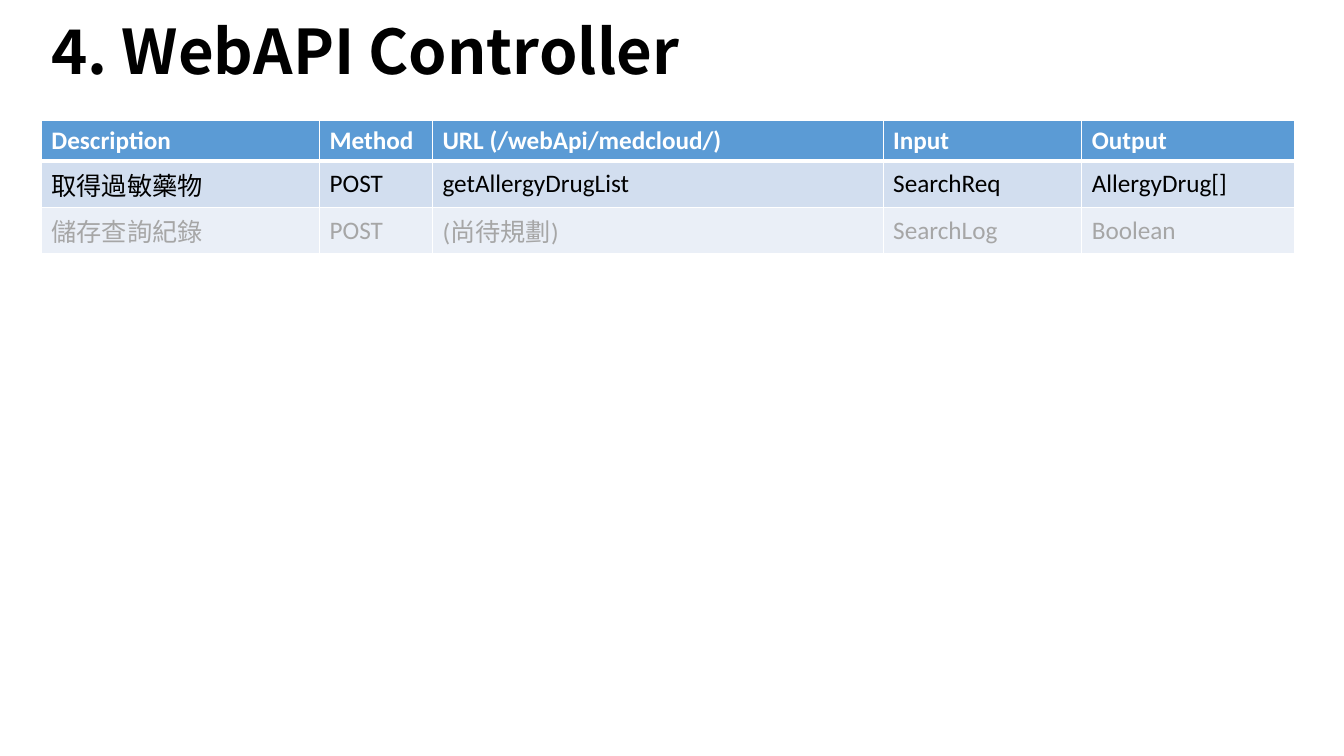
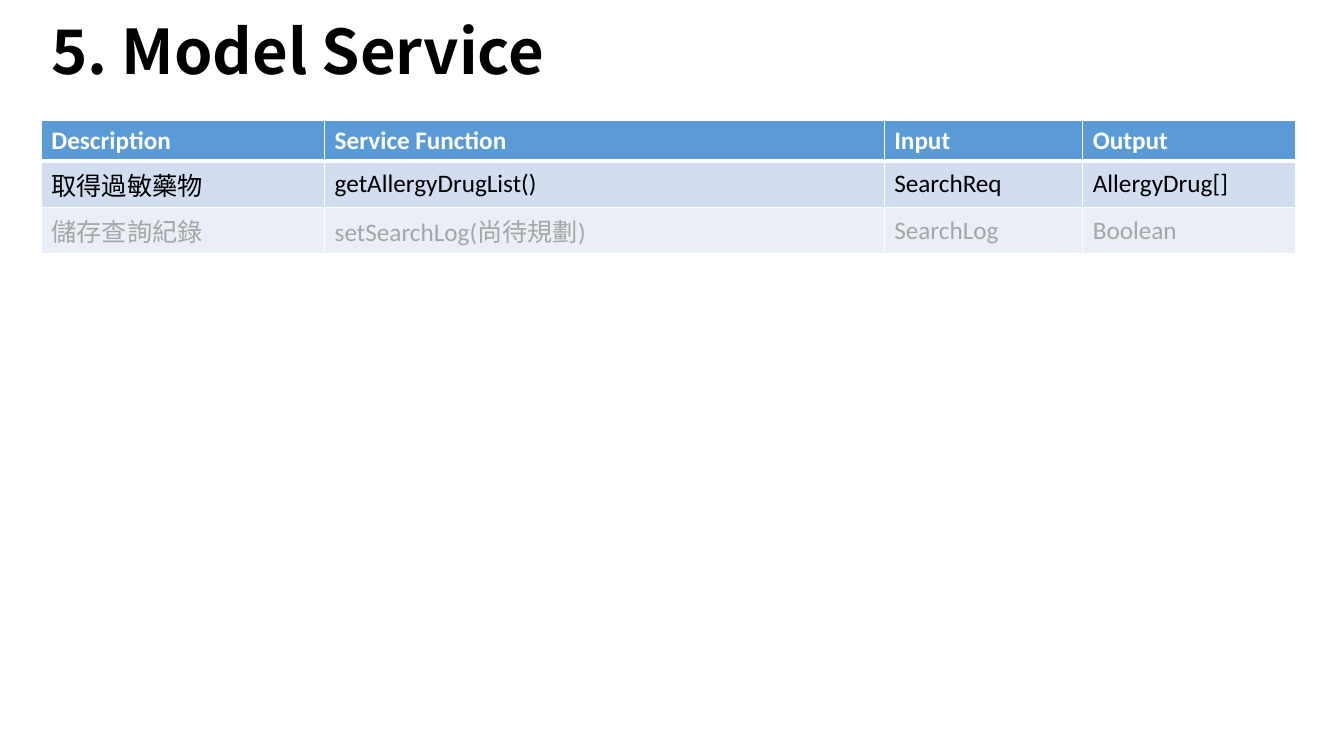
"""Builds two slides that list the web API and the model service in tables."""
from itertools import groupby

from lxml import etree
from pptx import Presentation
from pptx.dml.color import RGBColor
from pptx.enum.text import MSO_ANCHOR, MSO_AUTO_SIZE, PP_ALIGN
from pptx.oxml.ns import qn
from pptx.util import Inches, Pt

MIDDLE, LEFT, NO_FIT = MSO_ANCHOR.MIDDLE, PP_ALIGN.LEFT, MSO_AUTO_SIZE.NONE

SLIDES = [
    {
        "title": "4. WebAPI Controller",
        "widths": [2.76, 1.12, 4.47, 1.97, 2.11],
        "rows": [
            ["Description", "Method", "URL (/webApi/medcloud/)", "Input", "Output"],
            ["取得過敏藥物", "POST", "getAllergyDrugList", "SearchReq", "AllergyDrug[]"],
            ["儲存查詢紀錄", "POST", "(尚待規劃)", "SearchLog", "Boolean"],
        ],
    },
    {
        "title": "5. Model Service",
        "widths": [2.81, 5.55, 1.97, 2.11],
        "rows": [
            ["Description", "Service Function", "Input", "Output"],
            ["取得過敏藥物", "getAllergyDrugList()", "SearchReq", "AllergyDrug[]"],
            ["儲存查詢紀錄", "setSearchLog(尚待規劃)", "SearchLog", "Boolean"],
        ],
    },
]

LATIN, CJK = "Calibri", "Noto Sans CJK SC"
EDGE, TOP, ROW = 0.41, 1.19, 0.4
TITLE_BOX = {"left": EDGE, "top": -0.1, "width": 9.3, "height": 1.28}
TITLE = {"size": Pt(44), "bold": True}
STYLES = [
    {"fill": "5B9BD5", "ink": "FFFFFF", "bold": True, "above": 1, "below": 3},
    {"fill": "D2DEEF", "ink": "000000", "bold": False, "above": 3, "below": 1},
    {"fill": "EAEFF7", "ink": "A6A6A6", "bold": False, "above": 1, "below": 1},
]


def color(code):
    return RGBColor.from_string(code)


def put(item, values):
    for key, value in values.items():
        setattr(item, key, value)


def write(para, text, face, ink, form):
    run = para.add_run()
    run.text = text
    put(run.font, {"name": face, **form})
    run.font.color.rgb = color(ink)
    etree.SubElement(run.font._element, qn("a:ea"), typeface=face)


def border(cell, look):
    sides = {"L": 1, "R": 1, "T": look["above"], "B": look["below"]}
    props = cell._tc.get_or_add_tcPr()
    for spot, (side, width) in enumerate(sides.items()):
        line = etree.Element(qn("a:ln" + side), w=str(Pt(width)))
        fill = etree.SubElement(line, qn("a:solidFill"))
        etree.SubElement(fill, qn("a:srgbClr"), val="FFFFFF")
        props.insert(spot, line)


def fill_cell(cell, text, look):
    cell.vertical_anchor = MIDDLE
    cell.fill.solid()
    cell.fill.fore_color.rgb = color(look["fill"])
    border(cell, look)
    form = {"size": Pt(18), "bold": look["bold"]}
    for plain, part in groupby(text, str.isascii):
        face = LATIN if plain else CJK
        write(cell.text_frame.paragraphs[0], "".join(part), face, look["ink"], form)


def add_title(slide, text):
    title = slide.shapes.title
    put(title, {key: Inches(value) for key, value in TITLE_BOX.items()})
    frame = title.text_frame
    put(frame, {"vertical_anchor": MIDDLE, "auto_size": NO_FIT, "word_wrap": True})
    para = frame.paragraphs[0]
    put(para, {"alignment": LEFT, "line_spacing": 0.9})
    write(para, text, CJK, "000000", TITLE)


def add_grid(slide, widths, rows):
    size = [Inches(n) for n in (EDGE, TOP, sum(widths), ROW * len(rows))]
    table = slide.shapes.add_table(len(rows), len(widths), *size).table
    for column, width in zip(table.columns, widths):
        column.width = Inches(width)
    for line, texts, look in zip(table.rows, rows, STYLES):
        line.height = Inches(ROW)
        for cell, text in zip(line.cells, texts):
            fill_cell(cell, text, look)


def main():
    deck = Presentation()
    put(deck, {"slide_width": Inches(13.33), "slide_height": Inches(7.5)})
    layout = deck.slide_layouts.get_by_name("Title Only")
    for data in SLIDES:
        slide = deck.slides.add_slide(layout)
        add_title(slide, data["title"])
        add_grid(slide, data["widths"], data["rows"])
    deck.save("out.pptx")


if __name__ == "__main__":
    main()
